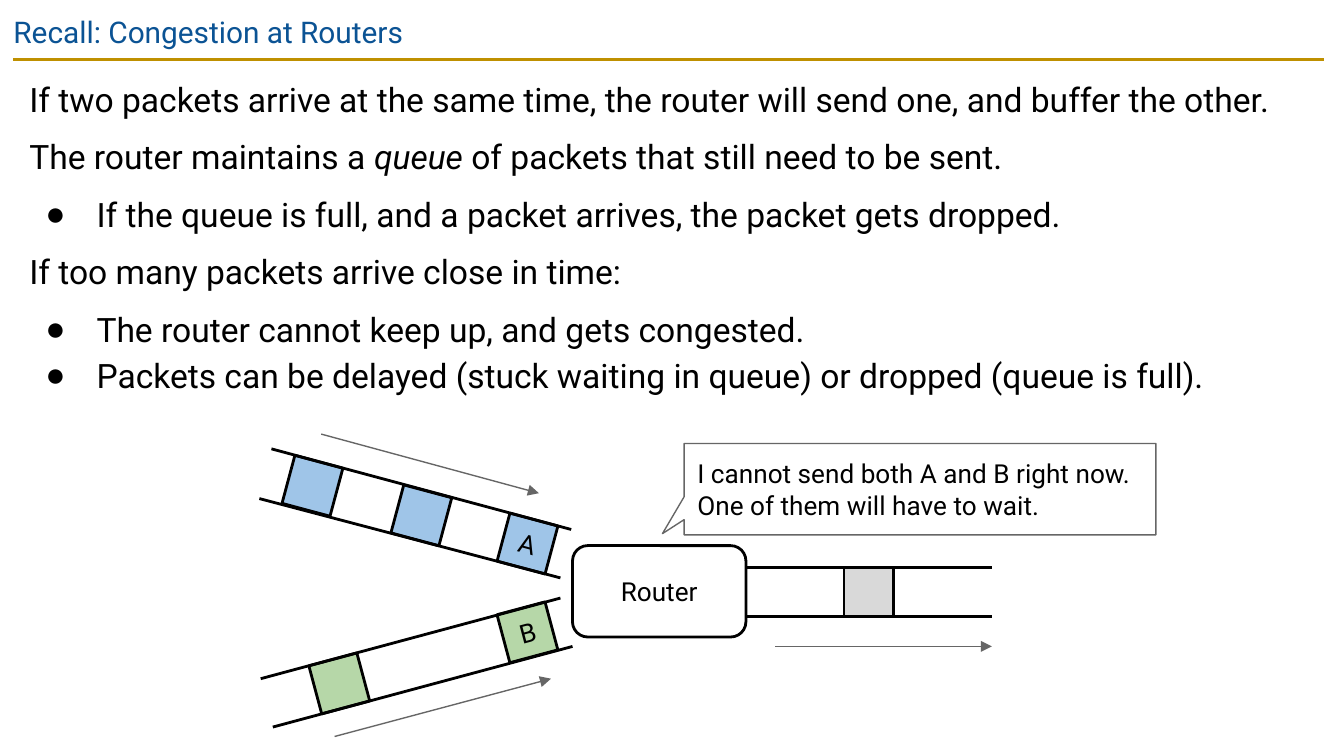
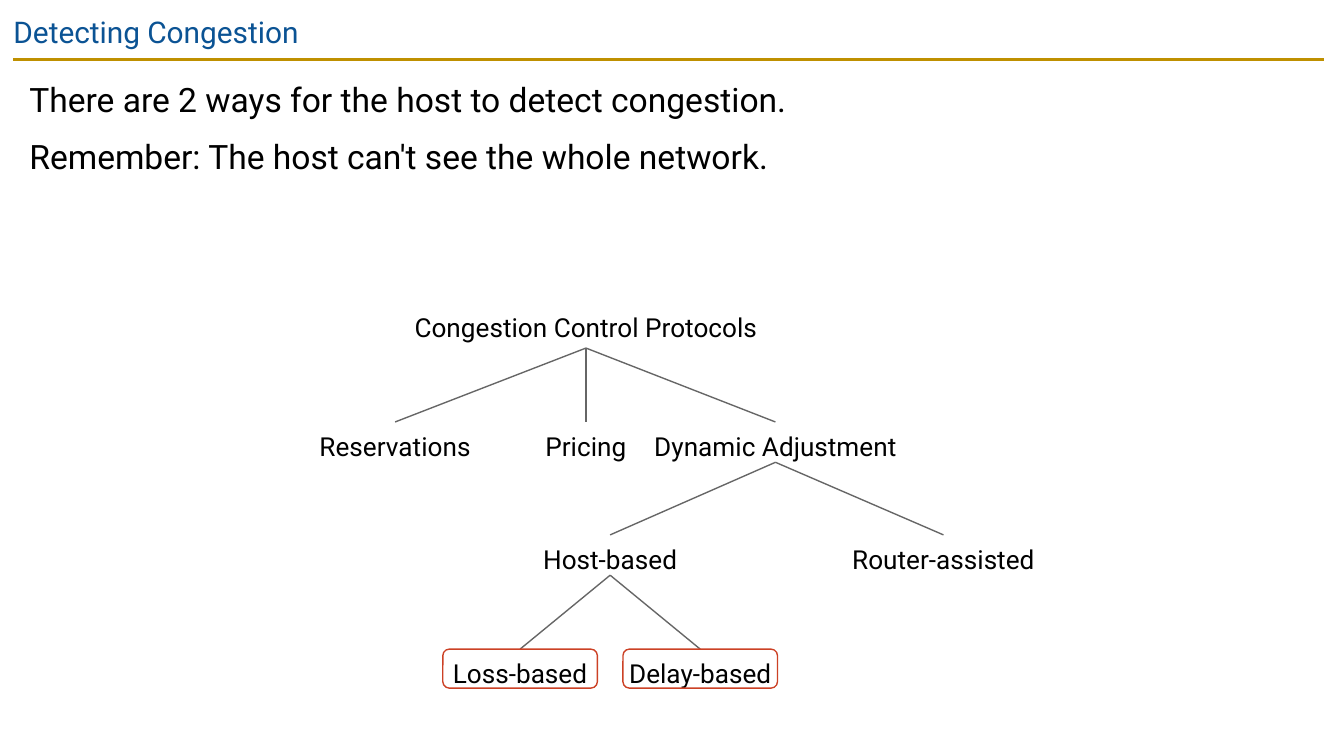
from lxml import etree
from pptx import Presentation
from pptx.dml.color import RGBColor
from pptx.enum import shapes, text
from pptx.oxml import ns
from pptx.util import Inches, Pt

BLACK, GRAY, GOLD, TITLE_BLUE, RED = "000000", "666666", "BF9000", "0B5394", "CC4125"
BLUE, GREEN, SILVER = "9FC5E8", "B6D7A8", "D9D9D9"
CENTER = text.PP_ALIGN.CENTER
SHAPE = shapes.MSO_SHAPE
PACKET = 0.37


def rgb(value):
    return RGBColor.from_string(value)


def sub(parent, tag, **attrs):
    return etree.SubElement(parent, ns.qn(tag), attrs)


def write(p, content, size=14, color=BLACK, align=None, spacing=None, before=None, bullet=False):
    """Fill a paragraph; text between asterisks becomes italic."""
    p.alignment = align
    p.line_spacing = spacing
    if before is not None:
        p.space_before = Pt(before)
    for i, part in enumerate(content.split("*")):
        r = p.add_run()
        r.text = part
        r.font.name, r.font.size = "Roboto", Pt(size)
        r.font.color.rgb = rgb(color)
        if i % 2:
            r.font.italic = True
    if bullet:
        pPr = p._p.get_or_add_pPr()
        pPr.set("marL", str(Inches(0.5)))
        pPr.set("indent", str(Inches(-0.38)))
        sub(sub(pPr, "a:buClr"), "a:srgbClr", val=BLACK)
        sub(pPr, "a:buFont", typeface="Arial")
        sub(pPr, "a:buChar", char="●")


def set_frame(tf, inset=0.1, anchor=text.MSO_ANCHOR.TOP, auto_size=text.MSO_AUTO_SIZE.NONE):
    tf.word_wrap = True
    tf.auto_size = auto_size
    tf.vertical_anchor = anchor
    tf.margin_left = tf.margin_top = tf.margin_right = tf.margin_bottom = Inches(inset)


class Deck:
    def __init__(self):
        self.prs = Presentation()
        self.prs.slide_width = Inches(10)
        self.prs.slide_height = Inches(10) * 9 // 16
        self.slide = None

    def new_slide(self, title):
        self.slide = self.prs.slides.add_slide(self.prs.slide_layouts[5])
        sp = self.slide.shapes.title
        sp.left, sp.top, sp.width, sp.height = map(Inches, (0, 0, 9.32, 0.43))
        set_frame(sp.text_frame)
        write(sp.text_frame.paragraphs[0], title, 16, TITLE_BLUE, text.PP_ALIGN.LEFT)
        self.line((0.1, 0.44), (9.85, 0.44), GOLD, 1.5)

    def body(self, height, lines):
        """Lines that start with "- " are bullets."""
        sp = self.slide.shapes.add_textbox(*map(Inches, (0.12, 0.44, 9.74, height)))
        tf = sp.text_frame
        set_frame(tf)
        after_bullet = False
        for i, line in enumerate(lines):
            p = tf.add_paragraph() if i else tf.paragraphs[0]
            bullet = line.startswith("- ")
            write(p, line.removeprefix("- "), 18, spacing=1.15,
                  before=0 if bullet and after_bullet else 6, bullet=bullet)
            after_bullet = bullet

    def label(self, x, y, w, content, spacing=1.15):
        """Centred text whose middle is at x."""
        sp = self.slide.shapes.add_textbox(*map(Inches, (x - w / 2, y, w, 0.3)))
        set_frame(sp.text_frame, 0.03, auto_size=text.MSO_AUTO_SIZE.SHAPE_TO_FIT_TEXT)
        write(sp.text_frame.paragraphs[0], content, align=CENTER, spacing=spacing)

    def shape(self, kind, box, lines=(), fill=None, line=BLACK, weight=1.5,
              rotation=0, adjust=(), align=CENTER):
        sp = self.slide.shapes.add_shape(kind, *map(Inches, box))
        sp.shadow.inherit = False
        sp.rotation = rotation
        for i, value in enumerate(adjust):
            sp.adjustments[i] = value
        if fill:
            sp.fill.solid()
            sp.fill.fore_color.rgb = rgb(fill)
        else:
            sp.fill.background()
        sp.line.color.rgb = rgb(line)
        sp.line.width = Pt(weight)
        tf = sp.text_frame
        set_frame(tf, anchor=text.MSO_ANCHOR.MIDDLE)
        for i, content in enumerate(lines):
            write(tf.add_paragraph() if i else tf.paragraphs[0], content, align=align)

    def packet(self, x, y, fill, rotation=0, name=None):
        self.shape(SHAPE.RECTANGLE, (x, y, PACKET, PACKET), [name] if name else (),
                   fill, rotation=rotation)

    def line(self, start, end, color=GRAY, weight=0.75, arrow=False):
        cx = self.slide.shapes.add_connector(
            shapes.MSO_CONNECTOR.STRAIGHT, *map(Inches, (*start, *end)))
        cx.line.color.rgb = rgb(color)
        cx.line.width = Pt(weight)
        if arrow:
            sub(cx.line._get_or_add_ln(), "a:tailEnd", type="triangle")
        sub(cx._element.spPr, "a:effectLst")


def congestion_slide(deck):
    deck.new_slide("Recall: Congestion at Routers")
    deck.body(2.76, [
        "If two packets arrive at the same time, the router will send one, and buffer the other.",
        "The router maintains a *queue* of packets that still need to be sent.",
        "- If the queue is full, and a packet arrives, the packet gets dropped.",
        "If too many packets arrive close in time:",
        "- The router cannot keep up, and gets congested.",
        "- Packets can be delayed (stuck waiting in queue) or dropped (queue is full).",
    ])
    for x, y, fill, rotation, name in [
        (2.14, 3.43, BLUE, 15, None), (2.95, 3.65, BLUE, 15, None), (3.74, 3.86, BLUE, 15, "A"),
        (2.34, 4.9, GREEN, 345, None), (3.74, 4.52, GREEN, 345, "B"),
        (6.28, 4.22, SILVER, 0, None),
    ]:
        deck.packet(x, y, fill, rotation, name)
    link_edges = [
        ((2.02, 3.34), (4.25, 3.94)), ((1.93, 3.71), (4.17, 4.3)),
        ((1.94, 5.05), (4.17, 4.45)), ((2.03, 5.41), (4.26, 4.81)),
        ((5.55, 4.22), (7.38, 4.22)), ((5.55, 4.59), (7.38, 4.59)),
    ]
    for start, end in link_edges:
        deck.line(start, end, BLACK, 1.5)
    deck.shape(SHAPE.ROUNDED_RECTANGLE, (4.26, 4.06, 1.29, 0.68), ["Router"])
    deck.shape(SHAPE.ROUNDED_RECTANGULAR_CALLOUT, (5.09, 3.3, 3.51, 0.68),
               ["I cannot send both A and B right now.", "One of them will have to wait."],
               line=GRAY, weight=0.75, adjust=(-0.546, 0.487, 0), align=text.PP_ALIGN.LEFT)
    for start, end in [((2.39, 3.23), (4.01, 3.67)), ((2.49, 5.48), (4.1, 5.05)),
                       ((5.77, 4.81), (7.38, 4.81))]:
        deck.line(start, end, arrow=True)


def detection_slide(deck):
    deck.new_slide("Detecting Congestion")
    deck.body(1.54, [
        "There are 2 ways for the host to detect congestion.",
        "Remember: The host can't see the whole network.",
    ])
    level_tops = (2.29, 3.14, 3.98, 4.83)
    root = "Congestion Control Protocols"
    # name: (level, centre, width, parent)
    tree = {
        root: (0, 4.36, 2.95, None),
        "Reservations": (1, 2.94, 1.4, root),
        "Pricing": (1, 4.36, 1.4, root),
        "Dynamic Adjustment": (1, 5.77, 2.03, root),
        "Host-based": (2, 4.54, 1.15, "Dynamic Adjustment"),
        "Router-assisted": (2, 7.02, 1.48, "Dynamic Adjustment"),
        "Loss-based": (3, 3.87, 1.15, "Host-based"),
        "Delay-based": (3, 5.21, 1.15, "Host-based"),
    }
    for name, (level, x, w, parent) in tree.items():
        y = level_tops[level]
        deck.label(x, y, w, name, 1.15 if parent else None)
        if parent:
            parent_level, parent_x = tree[parent][:2]
            deck.line((parent_x, level_tops[parent_level] + 0.3), (x, y))
        if level == 3:
            deck.shape(SHAPE.ROUNDED_RECTANGLE, (x - w / 2, y, w, 0.29), line=RED, weight=0.75)


def main():
    deck = Deck()
    congestion_slide(deck)
    detection_slide(deck)
    deck.prs.save("out.pptx")


if __name__ == "__main__":
    main()
